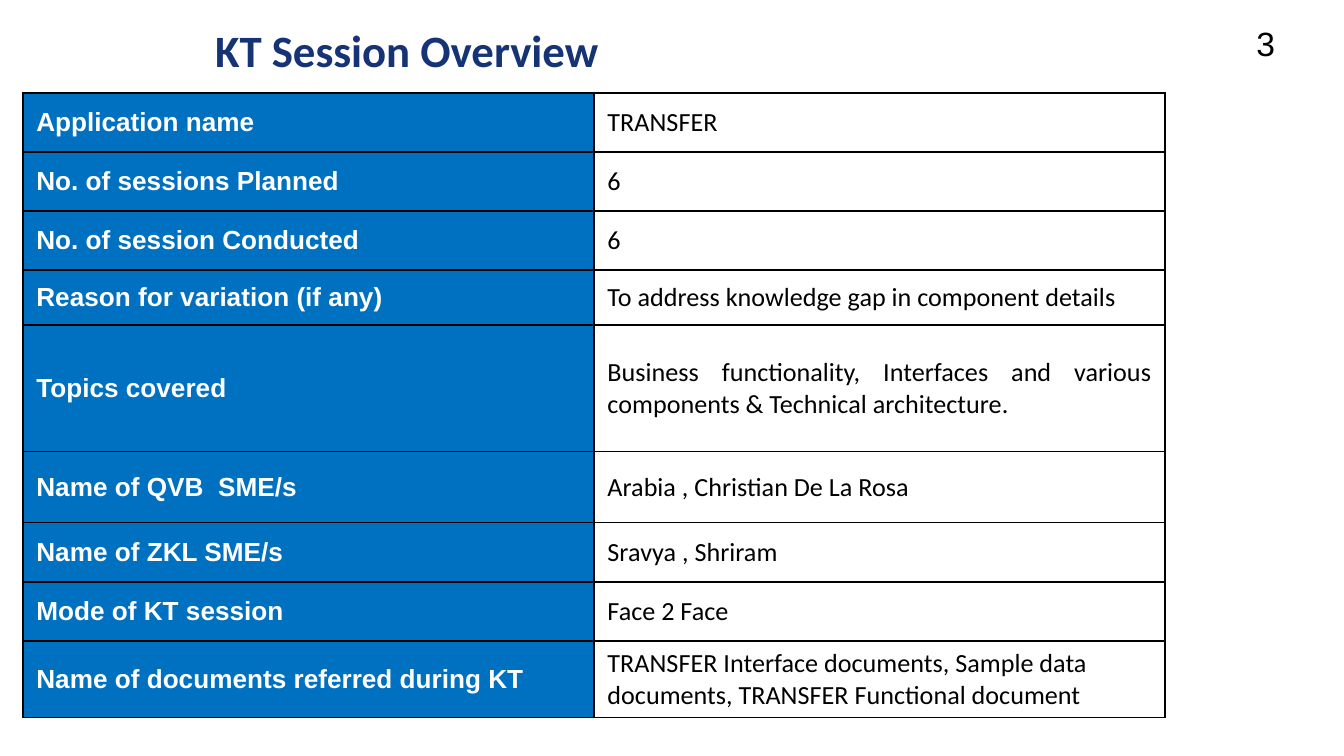
import dataclasses

import pptx
import pptx.dml.color
import pptx.enum.text
import pptx.oxml
import pptx.oxml.ns
import pptx.util
from pptx.util import Inches

COLORS = {"title": "153375", "label": "0070C0", "white": "FFFFFF", "black": "000000"}
MIDDLE = pptx.enum.text.MSO_ANCHOR.MIDDLE
LEFT = pptx.enum.text.PP_ALIGN.LEFT
JUSTIFY = pptx.enum.text.PP_ALIGN.JUSTIFY


@dataclasses.dataclass
class SessionRow:
    label: str
    value: str
    height: float = 0.44
    align: pptx.enum.text.PP_ALIGN = LEFT


ROWS = [
    SessionRow("Application name", "TRANSFER"),
    SessionRow("No. of sessions Planned", "6"),
    SessionRow("No. of session Conducted", "6"),
    SessionRow("Reason for variation (if any)",
               "To address knowledge gap in component details", 0.41, JUSTIFY),
    SessionRow("Topics covered",
               "Business functionality, Interfaces and various components & Technical architecture.",
               0.94, JUSTIFY),
    SessionRow("Name of QVB  SME/s", "Arabia , Christian De La Rosa", 0.53),
    SessionRow("Name of ZKL SME/s", "Sravya , Shriram"),
    SessionRow("Mode of KT session", "Face 2 Face"),
    SessionRow("Name of documents referred during KT",
               "TRANSFER Interface documents, Sample data documents, TRANSFER Functional document",
               0.57),
]


def rgb(name: str) -> pptx.dml.color.RGBColor:
    return pptx.dml.color.RGBColor.from_string(COLORS[name])


def write(tf, text: str, *, size: float = 14, font: str = "Calibri",
          color: str = "black", bold: bool = False, align=LEFT) -> None:
    p = tf.paragraphs[0]
    p.alignment = align
    r = p.add_run()
    r.text = text
    r.font.size = pptx.util.Pt(size)
    r.font.name = font
    r.font.bold = bold
    r.font.color.rgb = rgb(color)


def add_borders(cell) -> None:
    props = cell._tc.get_or_add_tcPr()
    for i, side in enumerate(("lnL", "lnR", "lnT", "lnB")):
        props.insert(i, pptx.oxml.parse_xml(
            f'<a:{side} {pptx.oxml.ns.nsdecls("a")} w="12700"><a:solidFill>'
            f'<a:srgbClr val="{COLORS["black"]}"/></a:solidFill></a:{side}>'))


def fill_row(table, index: int, row: SessionRow) -> None:
    table.rows[index].height = Inches(row.height)
    label, value = table.cell(index, 0), table.cell(index, 1)
    label.fill.solid()
    label.fill.fore_color.rgb = rgb("label")
    value.fill.background()
    write(label.text_frame, row.label, font="Arial", color="white", bold=True)
    write(value.text_frame, row.value, align=row.align)
    for cell in (label, value):
        cell.vertical_anchor = MIDDLE
        add_borders(cell)


def main() -> None:
    prs = pptx.Presentation()
    prs.slide_width = Inches(10)
    prs.slide_height = prs.slide_width * 9 // 16
    s = prs.slides.add_slide(prs.slide_layouts[5])

    title = s.shapes.title
    title.left, title.top = Inches(1.5), Inches(0.12)
    title.width, title.height = Inches(3.5), Inches(0.44)
    tf = title.text_frame
    tf.auto_size = pptx.enum.text.MSO_AUTO_SIZE.NONE
    tf.vertical_anchor = pptx.enum.text.MSO_ANCHOR.TOP
    write(tf, "KT Session Overview", size=24, color="title", bold=True)

    number = s.shapes.add_textbox(Inches(9.25), Inches(0.12), Inches(0.58), Inches(0.4))
    number.text_frame.word_wrap = True
    write(number.text_frame, "3", size=18, font="Arial")

    height = sum(row.height for row in ROWS)
    table = s.shapes.add_table(len(ROWS), 2, Inches(0.17), Inches(0.69),
                               Inches(8.5), Inches(height)).table
    table.first_row = False
    table.horz_banding = False
    for index, row in enumerate(ROWS):
        fill_row(table, index, row)

    prs.save("out.pptx")


if __name__ == "__main__":
    main()
